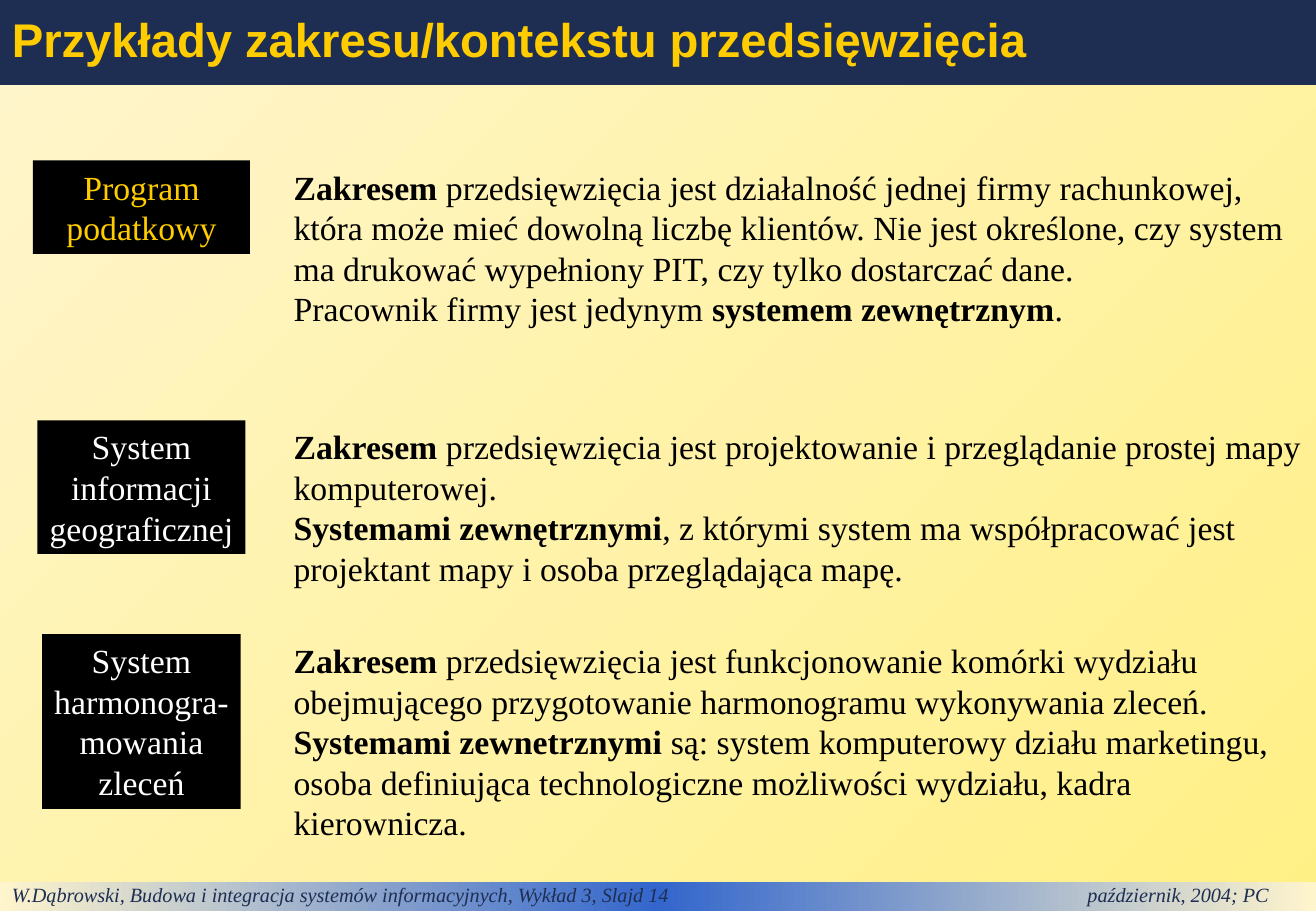
import copy

import pptx
import pptx.dml.color
import pptx.enum.shapes
import pptx.enum.text
import pptx.oxml
import pptx.util

W, H = 10.84, 7.5
COL, ROW = W / 100, H / 100
NAVY, GOLD, BLACK, WHITE = "1E2E53", "FFCC00", "000000", "FFFFFF"
CREAM, YELLOW, BLUE = "FFF5CD", "FFF085", "3366CC"
RGB = pptx.dml.color.RGBColor.from_string
ALIGN = pptx.enum.text.PP_ALIGN
FIT = pptx.enum.text.MSO_AUTO_SIZE.SHAPE_TO_FIT_TEXT


def gradient(fill, colours, angle):
    """Spread the colours evenly along the angle, counter-clockwise in degrees."""
    fill.gradient()
    fill.gradient_angle = angle
    first = fill.gradient_stops[0]._gs
    for _ in colours[2:]:
        first.addnext(copy.deepcopy(first))
    for i, (stop, colour) in enumerate(zip(fill.gradient_stops, colours)):
        stop.position = i / (len(colours) - 1)
        stop.color.rgb = RGB(colour)


def box(col, row, cols, rows, lines, colour, fill=None, align=ALIGN.LEFT, wrap=True, **font):
    """Place a text rectangle on the 100 by 100 grid; *asterisks* mark bold words."""
    sp = s.shapes.add_shape(
        pptx.enum.shapes.MSO_SHAPE.RECTANGLE,
        *(pptx.util.Inches(v) for v in (col * COL, row * ROW, cols * COL, rows * ROW)))
    sp.shadow.inherit = False
    sp.line.fill.background()
    if fill:
        sp.fill.solid()
        sp.fill.fore_color.rgb = RGB(fill)
    else:
        sp.fill.background()
    tf = sp.text_frame
    tf.word_wrap = wrap
    tf.vertical_anchor = pptx.enum.text.MSO_ANCHOR.TOP
    style = {"name": "Times New Roman", "size": pptx.util.Pt(20), **font}
    for i, line in enumerate(lines):
        p = tf.add_paragraph() if i else tf.paragraphs[0]
        p.alignment = align
        for j, part in enumerate(line.split("*")):
            if part:
                r = p.add_run()
                r.text = part
                r.font.color.rgb = RGB(colour)
                for key, value in {"bold": j % 2 == 1, **style}.items():
                    setattr(r.font, key, value)
    return sp


prs = pptx.Presentation()
prs.slide_width, prs.slide_height = pptx.util.Inches(W), pptx.util.Inches(H)
s = prs.slides.add_slide(prs.slide_layouts[6])
gradient(s.background.fill, [YELLOW, CREAM], 135)

footer = box(0, 96.8, 100, 3.2,
             ["W.Dąbrowski, Budowa i integracja systemów informacyjnych, Wykład 3, Slajd 14"
              "\tpaździernik, 2004; PC"],
             NAVY, size=pptx.util.Pt(12), italic=True)
gradient(footer.fill, [CREAM, BLUE, CREAM], 180)
tf = footer.text_frame
tf.margin_top, tf.margin_bottom = 0, pptx.util.Inches(0.04)
tf.paragraphs[0]._p.get_or_add_pPr().append(pptx.oxml.parse_xml(
    '<a:tabLst xmlns:a="http://schemas.openxmlformats.org/drawingml/2006/main">'
    f'<a:tab pos="{pptx.util.Inches(8.86)}" algn="l"/></a:tabLst>'))

title = box(0, 0, 100, 9.33, ["Przykłady zakresu/kontekstu przedsięwzięcia"], GOLD, NAVY,
            name="Arial", size=pptx.util.Pt(28), bold=True)
title.text_frame.vertical_anchor = pptx.enum.text.MSO_ANCHOR.MIDDLE
title.text_frame.paragraphs[0].line_spacing = 0.9

LABEL_CENTRE, BODY_LEFT = 10.75, 21.4
# top row, label colour, label wraps, label columns and rows, label lines, body rows, body lines
examples = [
    (17.6, GOLD, True, 16.5, 10.27, ["Program", "podatkowy"], 19.2,
     ["*Zakresem* przedsięwzięcia jest działalność jednej firmy rachunkowej, która może mieć "
      "dowolną liczbę klientów. Nie jest określone, czy system ma drukować wypełniony PIT, "
      "czy tylko dostarczać dane.",
      "Pracownik firmy jest jedynym *systemem zewnętrznym*."]),
    (46.13, WHITE, False, 15.8, 14.67, ["System", "informacji", "geograficznej"], 19.2,
     ["*Zakresem* przedsięwzięcia jest projektowanie i przeglądanie prostej mapy komputerowej.",
      "*Systemami zewnętrznymi*, z którymi system ma współpracować jest projektant mapy "
      "i osoba przeglądająca mapę."]),
    (69.6, WHITE, False, 15.1, 19.2, ["System", "harmonogra-", "mowania", "zleceń"], 23.6,
     ["*Zakresem* przedsięwzięcia jest funkcjonowanie komórki wydziału obejmującego "
      "przygotowanie harmonogramu wykonywania zleceń.",
      "*Systemami zewnetrznymi* są: system komputerowy działu marketingu, osoba definiująca "
      "technologiczne możliwości wydziału, kadra kierownicza."]),
]
for top, colour, wrap, cols, rows, label, body_rows, body in examples:
    for sp in (
        box(LABEL_CENTRE - cols / 2, top, cols, rows, label, colour, BLACK, ALIGN.CENTER, wrap),
        box(BODY_LEFT, top, 100 - BODY_LEFT, body_rows, body, BLACK),
    ):
        sp.text_frame.auto_size = FIT

prs.save("out.pptx")
